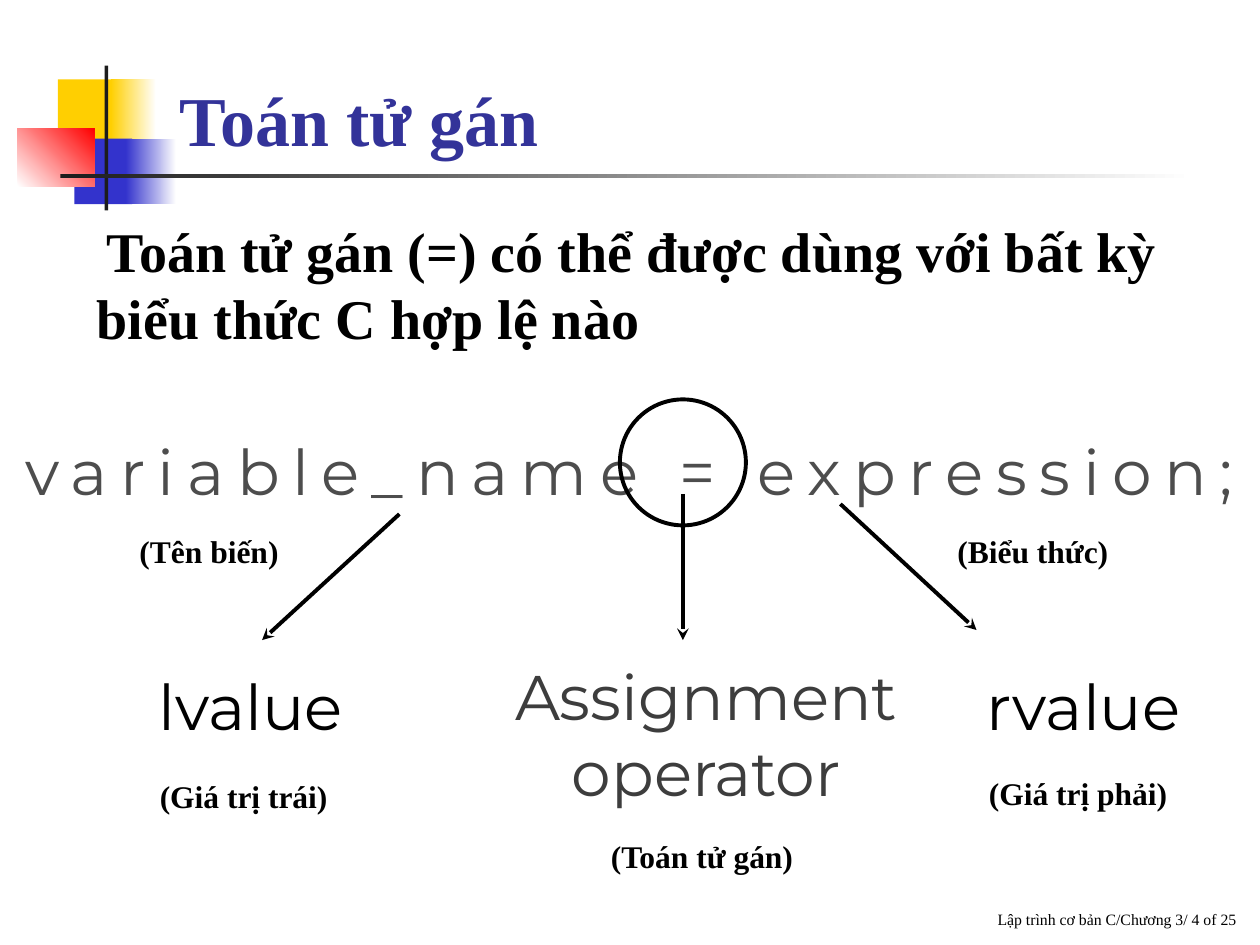
from typing import NamedTuple, Optional

from lxml.etree import SubElement
from pptx import Presentation
from pptx.dml.color import RGBColor
from pptx.enum.shapes import MSO_CONNECTOR, MSO_SHAPE
from pptx.enum.text import MSO_ANCHOR, MSO_AUTO_SIZE, PP_ALIGN
from pptx.oxml.ns import qn
from pptx.util import Inches, Pt

COLORS = {
    "yellow": "FFCF01", "blue": "3333CC", "red": "FF0000", "white": "FFFFFF",
    "bar": "1C1C1C", "title": "333399", "black": "000000",
    "code": "4D4D4D", "operator": "3D3D3D",
}
SERIF, SANS = "Times New Roman", "Montserrat"


class Block(NamedTuple):
    """A filled rectangle; with an end colour it is a gradient."""
    at: tuple
    color: str
    end: Optional[str] = None
    angle: int = 0


class Label(NamedTuple):
    """A text box and its formatting."""
    at: tuple
    text: str
    size: int = 18
    font: str = SERIF
    color: str = "black"
    bold: bool = True
    align: PP_ALIGN = PP_ALIGN.LEFT
    anchor: MSO_ANCHOR = MSO_ANCHOR.TOP
    wrap: bool = False
    grow: bool = False
    spacing: float = 0
    indent: float = 0


class Arrow(NamedTuple):
    """An arrow from a start point to an end point."""
    start: tuple
    end: tuple


BLOCKS = [
    Block((0.46, 0.63, 0.48, 0.52), "yellow"),
    Block((0.88, 0.63, 0.36, 0.52), "yellow", "white"),
    Block((0.59, 1.1, 0.46, 0.52), "blue"),
    Block((1, 1.1, 0.4, 0.52), "blue", "white"),
    Block((0.14, 1.02, 0.61, 0.46), "white", "red", 45),
    Block((0.83, 0.52, 0.03, 1.15), "bar"),
    Block((0.48, 1.38, 9, 0.03), "bar", "white"),
]

HEADINGS = [
    Label((3.83, 6.92, 6.08, 0.5), "Lập trình cơ bản C/Chương 3/ 4 of 25", 9,
          bold=False, align=PP_ALIGN.RIGHT, anchor=MSO_ANCHOR.BOTTOM, wrap=True),
    Label((1.33, 0.42, 7.75, 0.9), "Toán tử gán", 40, color="title",
          anchor=MSO_ANCHOR.BOTTOM, wrap=True),
    Label((1.12, 3.38, 7.76, 0.71), "variable_name = expression;", 36, SANS,
          "code", False, PP_ALIGN.CENTER, spacing=7.2),
]

ARROWS = [
    Arrow((3.17, 4.08), (2.08, 5.08)),
    Arrow((6.67, 4), (7.75, 5)),
    Arrow((5.42, 3.92), (5.42, 5.08)),
]

TERMS = [
    Label((1.17, 5.25, 1.64, 0.71), "lvalue", 36, SANS, "black", False, PP_ALIGN.CENTER),
    Label((7.78, 5.25, 1.64, 0.71), "rvalue", 36, SANS, "black", False, PP_ALIGN.CENTER),
    Label((4, 5.17, 3.21, 1.42), "Assignment\noperator", 36, SANS, "operator",
          False, PP_ALIGN.CENTER),
    Label((0.67, 1.67, 8.75, 1.17),
          "Toán tử gán (=) có thể được dùng với bất kỳ biểu thức C hợp lệ nào",
          32, wrap=True, grow=True, indent=0.08),
    Label((1.17, 6.12, 1.53, 0.4), "(Giá trị trái)", grow=True),
    Label((7.75, 6.09, 1.62, 0.4), "(Giá trị phải)", grow=True),
    Label((4.75, 6.59, 1.67, 0.4), "(Toán tử gán)", grow=True),
    Label((1, 4.17, 1.31, 0.4), "(Tên biến)", align=PP_ALIGN.RIGHT, grow=True),
    Label((7.5, 4.17, 1.4, 0.4), "(Biểu thức)", grow=True),
]


def rgb(name: str) -> RGBColor:
    """Look up a colour by name."""
    return RGBColor.from_string(COLORS[name])


def inches(values: tuple) -> list:
    """Turn numbers into lengths."""
    return [Inches(v) for v in values]


def apply(target, formats: dict) -> None:
    """Set each attribute given in formats."""
    for name, value in formats.items():
        setattr(target, name, value)


def add_block(slide, block: Block) -> None:
    """Draw a solid or gradient rectangle without outline."""
    sp = slide.shapes.add_shape(MSO_SHAPE.RECTANGLE, *inches(block.at))
    sp.shadow.inherit = False
    sp.line.fill.background()
    if block.end is None:
        sp.fill.solid()
        sp.fill.fore_color.rgb = rgb(block.color)
        return
    sp.fill.gradient()
    sp.fill.gradient_angle = block.angle
    for stop, position, color in zip(sp.fill.gradient_stops, (0, 1), (block.color, block.end)):
        stop.position = position
        stop.color.rgb = rgb(color)


def add_label(slide, label: Label) -> None:
    """Write a text box, one paragraph per line of text."""
    tf = slide.shapes.add_textbox(*inches(label.at)).text_frame
    apply(tf, {
        "word_wrap": label.wrap,
        "vertical_anchor": label.anchor,
        "auto_size": MSO_AUTO_SIZE.SHAPE_TO_FIT_TEXT if label.grow else MSO_AUTO_SIZE.NONE,
    })
    tf.text = label.text
    for p in tf.paragraphs:
        p.alignment = label.align
        if label.indent:
            p._p.get_or_add_pPr().set("indent", str(Inches(label.indent)))
        for r in p.runs:
            apply(r.font, {"size": Pt(label.size), "name": label.font, "bold": label.bold})
            r.font.color.rgb = rgb(label.color)
            if label.spacing:
                r._r.get_or_add_rPr().set("spc", str(round(label.spacing * 100)))


def add_ring(slide, at: tuple) -> None:
    """Draw the circle around the equals sign."""
    sp = slide.shapes.add_shape(MSO_SHAPE.OVAL, *inches(at))
    sp.shadow.inherit = False
    sp.fill.background()
    sp.line.color.rgb = rgb("black")
    sp.line.width = Pt(2.25)


def add_arrow(slide, arrow: Arrow) -> None:
    """Draw a straight line with a stealth arrowhead at its end."""
    cxn = slide.shapes.add_connector(MSO_CONNECTOR.STRAIGHT, *inches(arrow.start + arrow.end))
    cxn.line.color.rgb = rgb("black")
    cxn.line.width = Pt(2.25)
    SubElement(cxn.line._get_or_add_ln(), qn("a:tailEnd"), type="stealth")
    SubElement(cxn._element.spPr, qn("a:effectLst"))


def main() -> None:
    """Build and save the slide."""
    prs = Presentation()
    prs.slide_width, prs.slide_height = Inches(10), Inches(7.5)
    slide = prs.slides.add_slide(prs.slide_layouts[6])
    for block in BLOCKS:
        add_block(slide, block)
    for label in HEADINGS:
        add_label(slide, label)
    add_ring(slide, (4.92, 3.17, 1, 1))
    for arrow in ARROWS:
        add_arrow(slide, arrow)
    for label in TERMS:
        add_label(slide, label)
    prs.save("out.pptx")


main()
